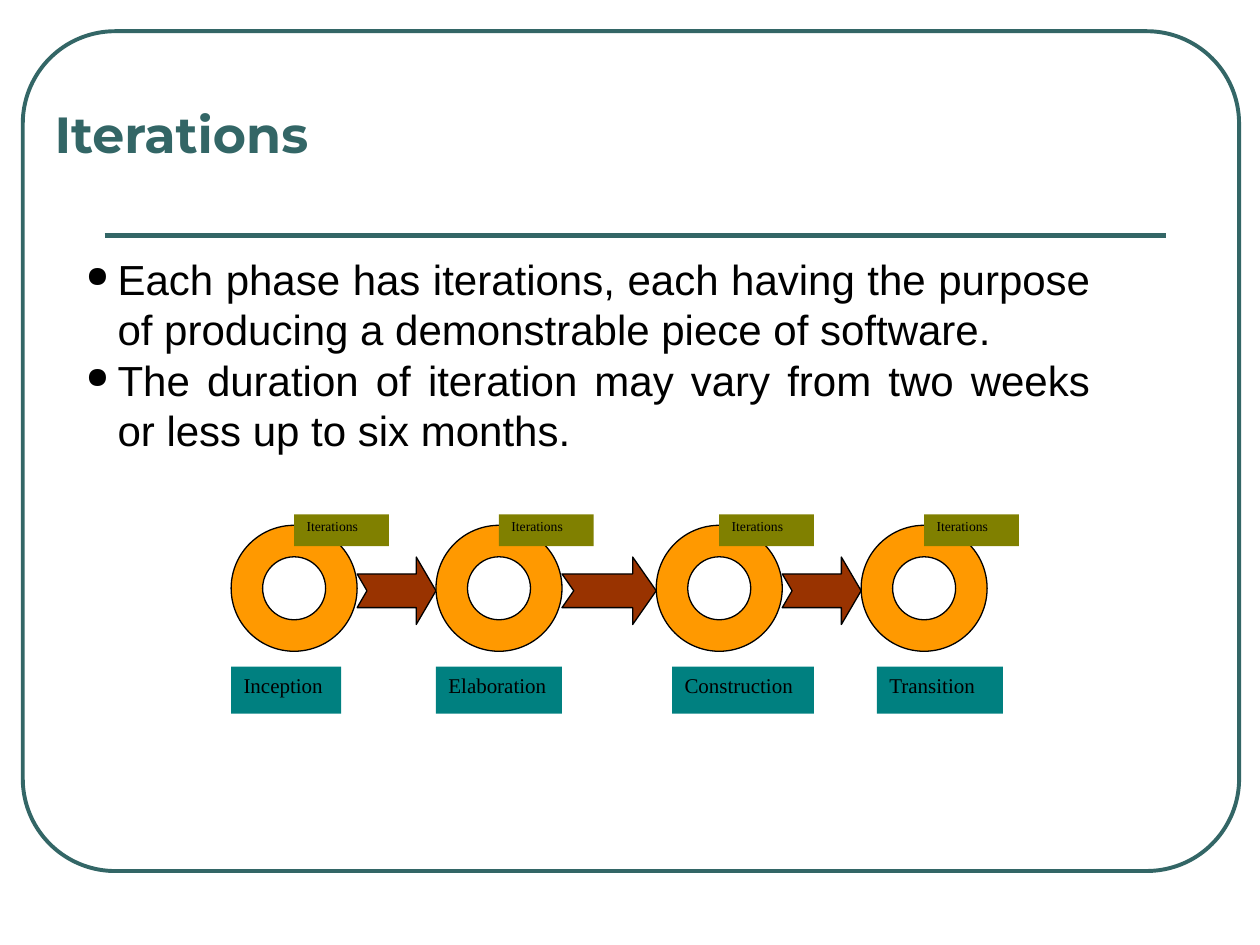
from lxml.etree import SubElement
from pptx import Presentation
from pptx.dml.color import RGBColor as Rgb
from pptx.enum.shapes import MSO_CONNECTOR as Link, MSO_SHAPE as Kind
from pptx.enum.text import MSO_ANCHOR as Anchor, PP_ALIGN as Align
from pptx.oxml.ns import qn
from pptx.util import Cm, Pt

HUES = {"frame": "336666", "ring": "FF9900", "arrow": "993300",
        "phase": "008080", "tag": "808000", "ink": "000000"}
SERIF = "Times New Roman"
POINTS = [
    "Each phase has iterations, each having the purpose of producing "
    "a demonstrable piece of software.",
    "The duration of iteration may vary from two weeks or less up to six months.",
]
# Phase name, ring offset, label offset, label width (cm)
PHASES = [("Inception", 0, 0, 2.22), ("Elaboration", 4.13, 4.13, 2.54),
          ("Construction", 8.57, 8.89, 2.86), ("Transition", 12.7, 13.02, 2.54)]
RING = 2.54


def hue(name):
    return Rgb.from_string(HUES[name])


def style(para, font, size, color="ink", bold=False):
    for run in para.runs:
        run.font.name = font
        run.font.size = Pt(size)
        run.font.bold = bold
        run.font.color.rgb = hue(color)


def add_shape(slide, kind, box, fill=None, line=None, width=0.75):
    shape = slide.shapes.add_shape(kind, *map(Cm, box))
    shape.shadow.inherit = False
    if fill:
        shape.fill.solid()
        shape.fill.fore_color.rgb = hue(fill)
    else:
        shape.fill.background()
    if line:
        shape.line.color.rgb = hue(line)
        shape.line.width = Pt(width)
    else:
        shape.line.fill.background()
    return shape


def add_label(slide, box, text, fill, size, gap=1.0):
    frame = add_shape(slide, Kind.RECTANGLE, box, fill).text_frame
    frame.text = text
    frame.vertical_anchor = Anchor.TOP
    para = frame.paragraphs[0]
    para.alignment = Align.LEFT
    para.line_spacing = gap
    style(para, SERIF, size)


def add_bullet(para):
    props = para._p.get_or_add_pPr()
    props.set("marL", str(Cm(0.64)))
    props.set("indent", str(-Cm(0.64)))
    color = SubElement(props, qn("a:buClr"))
    SubElement(color, qn("a:srgbClr")).set("val", HUES["ink"])
    SubElement(props, qn("a:buSzPct")).set("val", "70000")
    SubElement(props, qn("a:buChar")).set("char", "●")


def draw_frame(slide, left, top, width, height):
    """Draw the rounded border and the rule below the title."""
    border = add_shape(slide, Kind.ROUNDED_RECTANGLE,
                       (left, top, width, height), line="frame", width=2.25)
    border.adjustments[0] = 0.11
    start, end, y = left + 1.65, left + width - 1.48, top + 4.12
    rule = slide.shapes.add_connector(Link.STRAIGHT, Cm(start), Cm(y), Cm(end), Cm(y))
    rule.line.color.rgb = hue("frame")
    rule.line.width = Pt(3)
    SubElement(rule._element.spPr, qn("a:effectLst"))


def draw_title(slide, *box):
    frame = slide.shapes.add_textbox(*map(Cm, box)).text_frame
    frame.word_wrap = True
    frame.vertical_anchor = Anchor.BOTTOM
    frame.text = "Iterations"
    style(frame.paragraphs[0], "Montserrat", 29, "frame", True)


def draw_points(slide, *box):
    frame = slide.shapes.add_textbox(*map(Cm, box)).text_frame
    frame.word_wrap = True
    frame.text = "\n".join(POINTS)
    for para in frame.paragraphs:
        para.alignment = Align.JUSTIFY
        add_bullet(para)
        style(para, "Arial", 24)


def draw_arrow(slide, left, top, width, height):
    arrow = add_shape(slide, Kind.NOTCHED_RIGHT_ARROW,
                      (left, top, width, height), "arrow", "ink")
    arrow.adjustments[0] = 0.5
    arrow.adjustments[1] = 0.25 * width / height


def draw_flow(slide, left, top):
    """Draw the phases as rings, with an arrow from each to the next."""
    for i, (name, x, label, width) in enumerate(PHASES):
        ring = add_shape(slide, Kind.DONUT, (left + x, top + 0.22, RING, RING),
                         "ring", "ink")
        ring.adjustments[0] = 0.25
        if i + 1 < len(PHASES):
            gap = PHASES[i + 1][1] - x - RING
            draw_arrow(slide, left + x + RING, top + 0.86, gap, 1.36)
        add_label(slide, (left + label, top + 3.07, width, 0.95), name, "phase", 12)
        add_label(slide, (left + x + RING / 2, top, 1.91, 0.64),
                  "Iterations", "tag", 7.8, 0.8)


def main():
    deck = Presentation()
    deck.slide_width, deck.slide_height = Cm(25.4), Cm(19.05)
    slide = deck.slides.add_slide(deck.slide_layouts[6])
    draw_frame(slide, 0.46, 0.63, 24.52, 16.93)
    draw_points(slide, 1.48, 4.98, 20.75, 4.83)
    draw_flow(slide, 4.66, 10.37)
    draw_title(slide, 0.85, 1.93, 20.29, 1.5)
    deck.save("out.pptx")


if __name__ == "__main__":
    main()
